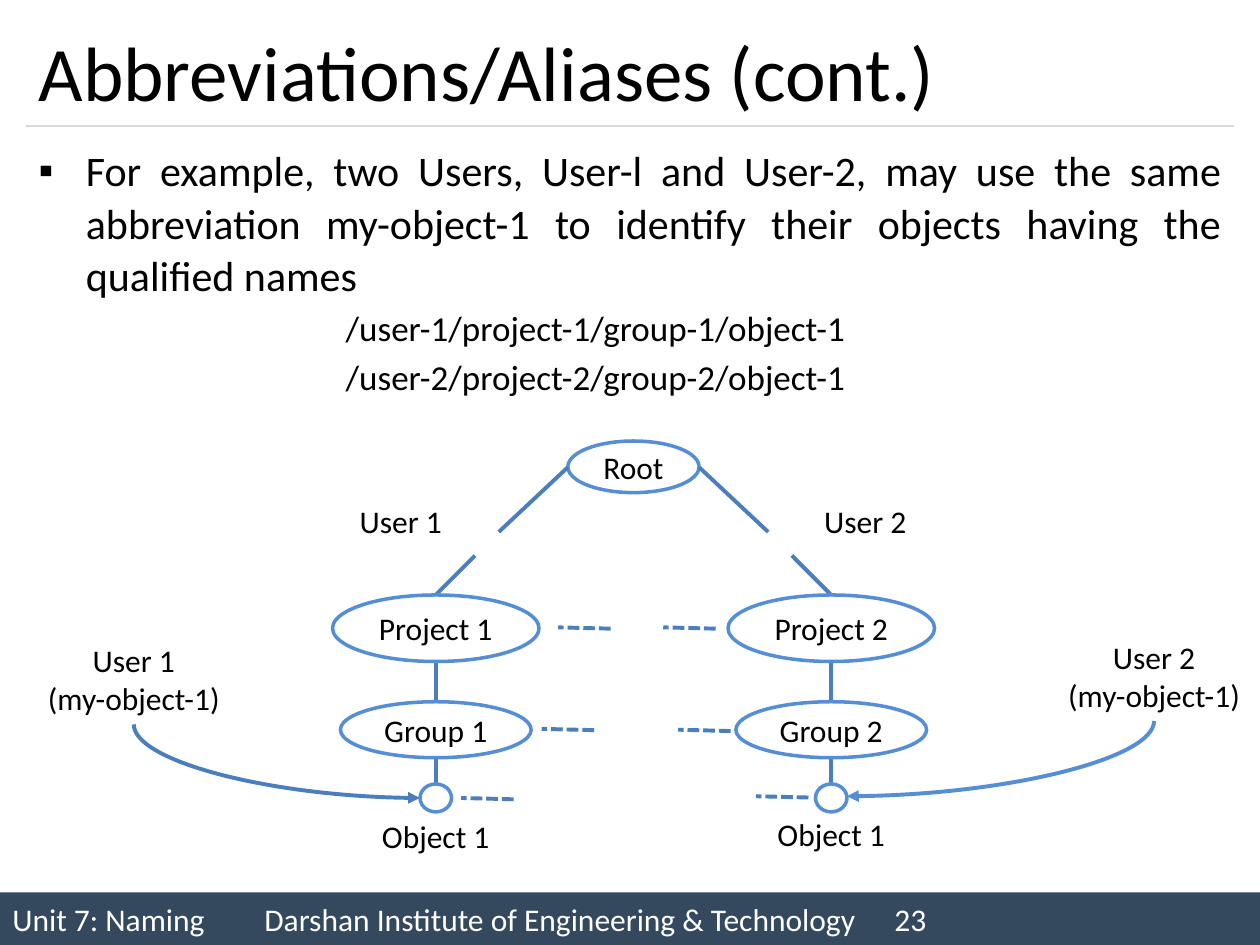
from dataclasses import dataclass
from lxml import etree
from pptx import Presentation
from pptx.dml.color import RGBColor as Rgb
from pptx.enum.dml import MSO_LINE as Dash
from pptx.enum.shapes import MSO_CONNECTOR as Conn, MSO_SHAPE as Kind
from pptx.enum.text import MSO_ANCHOR as Anchor, PP_ALIGN as Align
from pptx.oxml.ns import qn
from pptx.util import Pt


@dataclass(frozen=True)
class Theme:
    """Colours, font and type sizes of the deck."""
    font: str = "Calibri"
    ink: str = "000000"
    paper: str = "FFFFFF"
    bar: str = "34495E"
    rule: str = "D9D9D9"
    edge: str = "558ED5"
    link: str = "4B7EBC"
    title: int = 44
    body: int = 24
    sub: int = 20
    small: int = 18


def rgb(code):
    """Turn a hex code into a colour."""
    return Rgb.from_string(code)


def tag(node, name, **attrs):
    """Append a drawing element with its attributes."""
    return etree.SubElement(node, qn(name), attrs)


def write(frame, text, *, font, size, color, align=Align.LEFT, before=0,
          lead=1.0, left=0, hang=0, mark=None, tabs=()):
    """Add text to a frame, one paragraph per line."""
    for line in text.split("\n"):
        para = frame.paragraphs[0] if not frame.text else frame.add_paragraph()
        props = para._p.get_or_add_pPr()
        props.set("marL", str(Pt(left)))
        props.set("indent", str(Pt(-hang)))
        if mark:
            tag(props, "a:buFont", typeface="Arial")
            tag(props, "a:buChar", char=mark)
        if tabs:
            stops = tag(props, "a:tabLst")
            for stop in tabs:
                tag(stops, "a:tab", pos=str(Pt(stop)), algn="r")
        para.alignment = align
        para.line_spacing = lead
        para.space_before = Pt(before)
        run = para.add_run()
        run.text = line
        run.font.name = font
        run.font.size = Pt(size)
        run.font.color.rgb = rgb(color)


class Page:
    """Holds the theme and the current slide, and draws on it."""

    def __init__(self, slide, theme):
        """Keep the slide and its theme."""
        self.shapes = slide.shapes
        self.theme = theme

    def put(self, frame, text, **form):
        """Write text in the theme's default format."""
        base = dict(font=self.theme.font, size=self.theme.small, color=self.theme.ink)
        write(frame, text, **(base | form))

    def box(self, x, y, w, h, anchor=Anchor.TOP):
        """Add an empty text box and return its frame."""
        frame = self.shapes.add_textbox(Pt(x), Pt(y), Pt(w), Pt(h)).text_frame
        frame.word_wrap = True
        frame.vertical_anchor = anchor
        return frame

    def label(self, mid, y, w, h, text):
        """Add a label centred on a given x."""
        frame = self.box(mid - w / 2, y, w, h)
        frame.word_wrap = False
        self.put(frame, text, align=Align.CENTER)

    def shape(self, kind, x, y, w, h, fill):
        """Add a flat filled shape without outline."""
        shape = self.shapes.add_shape(kind, Pt(x), Pt(y), Pt(w), Pt(h))
        shape.shadow.inherit = False
        shape.fill.solid()
        shape.fill.fore_color.rgb = rgb(fill)
        shape.line.fill.background()
        shape.text_frame.vertical_anchor = Anchor.MIDDLE
        return shape

    def node(self, mid, y, w, h, text=""):
        """Add an outlined ellipse centred on a given x."""
        shape = self.shape(Kind.OVAL, mid - w / 2, y, w, h, self.theme.paper)
        shape.line.color.rgb = rgb(self.theme.edge)
        shape.line.width = Pt(2)
        if text:
            shape.text_frame.word_wrap = False
            self.put(shape.text_frame, text, align=Align.CENTER)

    def line(self, start, end, color=None, width=2.25, dash=None, kind=Conn.STRAIGHT):
        """Add a connector between two points."""
        line = self.shapes.add_connector(kind, *map(Pt, start + end))
        line.line.color.rgb = rgb(color or self.theme.link)
        line.line.width = Pt(width)
        if dash:
            line.line.dash_style = dash
        tag(line._element.spPr, "a:effectLst")
        return line

    def curve(self, tip, tail, color):
        """Add a quarter curve with its arrowhead at the tip."""
        line = self.line(tip, tail, color, kind=Conn.CURVE)
        line._element.spPr.find(qn("a:prstGeom")).set("prst", "curvedConnector2")
        tag(line.line._get_or_add_ln(), "a:headEnd", type="triangle")

    def footer(self, text):
        """Add the bar along the foot of the slide."""
        bar = self.shape(Kind.RECTANGLE, 0, 510, 720, 30, self.theme.bar)
        self.put(bar.text_frame, text, color=self.theme.paper, tabs=(669.5, 696.5))


def main():
    """Build the slide and save it."""
    deck = Presentation()
    deck.slide_width, deck.slide_height = Pt(720), Pt(540)
    theme = Theme()
    page = Page(deck.slides.add_slide(deck.slide_layouts[6]), theme)

    page.footer("Unit 7: Naming\tDarshan Institute of Engineering & Technology\t23")
    page.line((15, 72), (705, 72), theme.rule, 0.75)
    page.put(page.box(15, 8.5, 690, 63.5, Anchor.MIDDLE),
             "Abbreviations/Aliases (cont.)", size=theme.title)
    body = page.box(15, 78, 690, 160)
    page.put(body, "For example, two Users, User-l and User-2, may use the same "
             "abbreviation my-object-1 to identify their objects having the "
             "qualified names", size=theme.body, align=Align.JUSTIFY,
             lead=1.04, left=27, hang=27, mark="▪")
    page.put(body, "/user-1/project-1/group-1/object-1\n/user-2/project-2/group-2/object-1",
             size=theme.sub, before=4, left=175.5)

    mid = 362
    page.node(mid, 252, 75, 29.5, "Root")
    cols = ((1, -1, 249, 229, 463.5), (2, 1, 475, 494.5, 462))
    for num, side, x, user, low in cols:
        page.line((mid + side * 37.5, 267), (mid + side * 77, 304))
        page.line((x - side * 22.5, 317.5), (x, 340))
        page.line((x, 378), (x, 401))
        page.line((x, 433), (x, 448))
        page.node(x, 340, 118, 38, f"Project {num}")
        page.node(x, 401, 109, 32, f"Group {num}")
        page.node(x, 448, 18, 16)
        page.label(x, low, 76, 29, "Object 1")
        page.label(user, 283.5, 62, 29, f"User {num}")

    for x, y in ((319, 358.5), (379, 358.5), (309.5, 416.5),
                 (387.5, 417), (263.5, 456), (432, 455)):
        page.line((x + 30, y + 0.75), (x, y), dash=Dash.SQUARE_DOT)

    owners = ((1, 76.5, 363, 240, 456, theme.link), (2, 659.5, 361, 484, 455, theme.edge))
    for num, x, y, tip, low, color in owners:
        page.label(x, y, 114, 51, f"User {num}\n(my-object-1)")
        page.curve((tip, low), (x, y + 51), color)

    deck.save("out.pptx")


if __name__ == "__main__":
    main()
